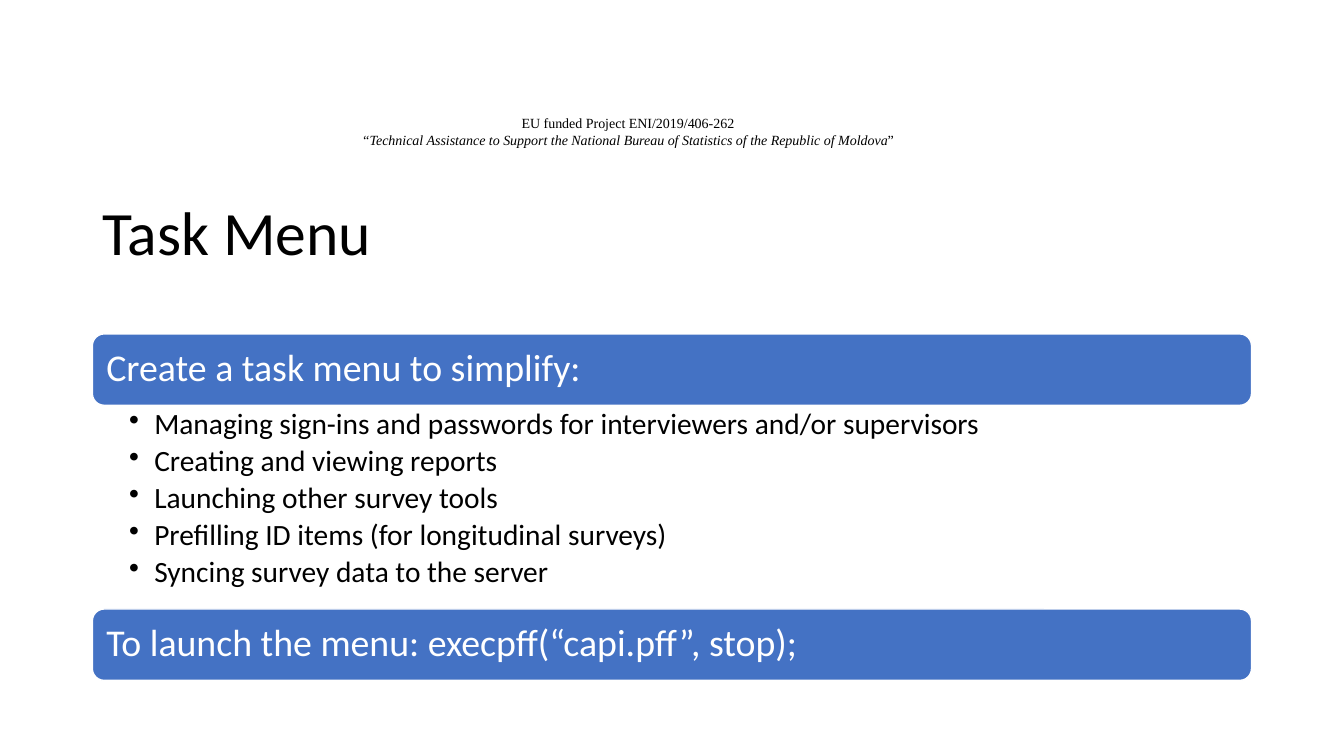
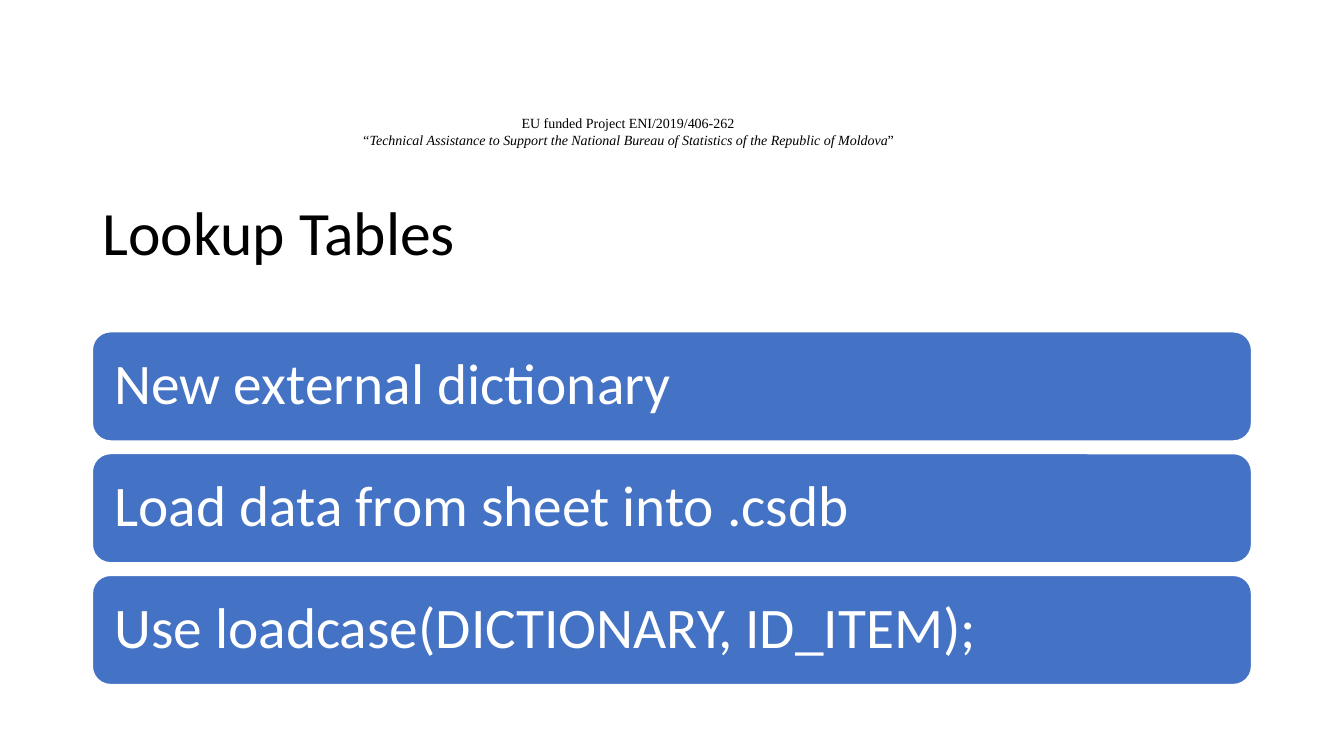
from lxml import etree
from pptx import Presentation
from pptx import util as u
from pptx.dml.color import RGBColor
from pptx.enum import shapes, text
from pptx.oxml.ns import qn

PX = 9525
COLORS = {"text": "000000", "band": "4472C4", "white": "FFFFFF"}
LEFT, WIDTH = 88, 1104


def style(p, size, color, font="Calibri"):
    p.font.name = font
    p.font.size = u.Pt(size)
    p.font.color.rgb = RGBColor.from_string(COLORS[color])


def add_band(s, top, height, words, size, margin):
    sp = s.shapes.add_shape(shapes.MSO_SHAPE.ROUNDED_RECTANGLE,
                            LEFT * PX, top * PX, WIDTH * PX, height * PX)
    sp.shadow.inherit = False
    sp.fill.solid()
    sp.fill.fore_color.rgb = RGBColor.from_string(COLORS["band"])
    sp.line.color.rgb = RGBColor.from_string(COLORS["white"])
    sp.line.width = u.Pt(1)
    tf = sp.text_frame
    tf.margin_left = tf.margin_right = margin * PX
    tf.margin_top = tf.margin_bottom = 0
    tf.vertical_anchor = text.MSO_ANCHOR.MIDDLE
    p = tf.paragraphs[0]
    p.text = words
    p.alignment = text.PP_ALIGN.LEFT
    p.line_spacing = 0.9
    style(p, size, "white")


prs = Presentation()
prs.slide_width, prs.slide_height = 1280 * PX, 720 * PX
layout = prs.slide_layouts[5]
menu, lookup = [prs.slides.add_slide(layout) for _ in range(2)]

header = menu.shapes.add_textbox(278 * PX, 104 * PX, 640 * PX, 42 * PX)
tf = header.text_frame
tf.word_wrap = True
lines = [
    [("EU funded Project ENI/2019/406-262", False)],
    [("“Technical Assistance to Support the National Bureau of Statistics "
      "of the Republic of Moldova", True), ("”", False)],
]
for i, runs in enumerate(lines):
    p = tf.paragraphs[0] if i == 0 else tf.add_paragraph()
    p.alignment = text.PP_ALIGN.CENTER
    style(p, 10, "text", "Times New Roman")
    for words, italic in runs:
        r = p.add_run()
        r.text = words
        r.font.italic = italic
        style(r, 10, "text", "Times New Roman")
header.element.nvSpPr.cNvPr.set("id", "20")
layout.shapes.element.append(header.element)

for s, words in [(menu, "Task Menu"), (lookup, "Lookup Tables")]:
    title = s.shapes.title
    title.left, title.top = LEFT * PX, 155 * PX
    title.width, title.height = WIDTH * PX, 139 * PX
    tf = title.text_frame
    tf.text = words
    tf.auto_size = text.MSO_AUTO_SIZE.NONE
    tf.vertical_anchor = text.MSO_ANCHOR.MIDDLE
    p = tf.paragraphs[0]
    p.alignment = text.PP_ALIGN.LEFT
    p.line_spacing = 0.9
    style(p, 44, "text")

add_band(menu, 318, 68, "Create a task menu to simplify:", 27, 10)
tasks = menu.shapes.add_textbox(LEFT * PX, 386 * PX, WIDTH * PX, 194 * PX)
tf = tasks.text_frame
tf.word_wrap = True
tf.margin_left, tf.margin_right = 35 * PX, 20 * PX
tf.margin_top = tf.margin_bottom = 4 * PX
items = [
    "Managing sign-ins and passwords for interviewers and/or supervisors",
    "Creating and viewing reports",
    "Launching other survey tools",
    "Prefilling ID items (for longitudinal surveys)",
    "Syncing survey data to the server",
]
for i, words in enumerate(items):
    p = tf.paragraphs[0] if i == 0 else tf.add_paragraph()
    p.text = words
    p.line_spacing = 0.9
    p.space_after = u.Pt(3.7)
    style(p, 21, "text")
    pPr = p._p.get_or_add_pPr()
    pPr.set("marL", str(24 * PX))
    pPr.set("indent", str(-24 * PX))
    bullet = etree.Element(qn("a:buChar"), char="•")
    pPr.find(qn("a:defRPr")).addprevious(bullet)
add_band(menu, 580, 68, "To launch the menu: execpff(“capi.pff”, stop);", 27, 10)

steps = ["New external dictionary", "Load data from sheet into .csdb",
         "Use loadcase(DICTIONARY, ID_ITEM);"]
for i, words in enumerate(steps):
    add_band(lookup, 316 + 116 * i, 104, words, 41, 16)

prs.save("out.pptx")
